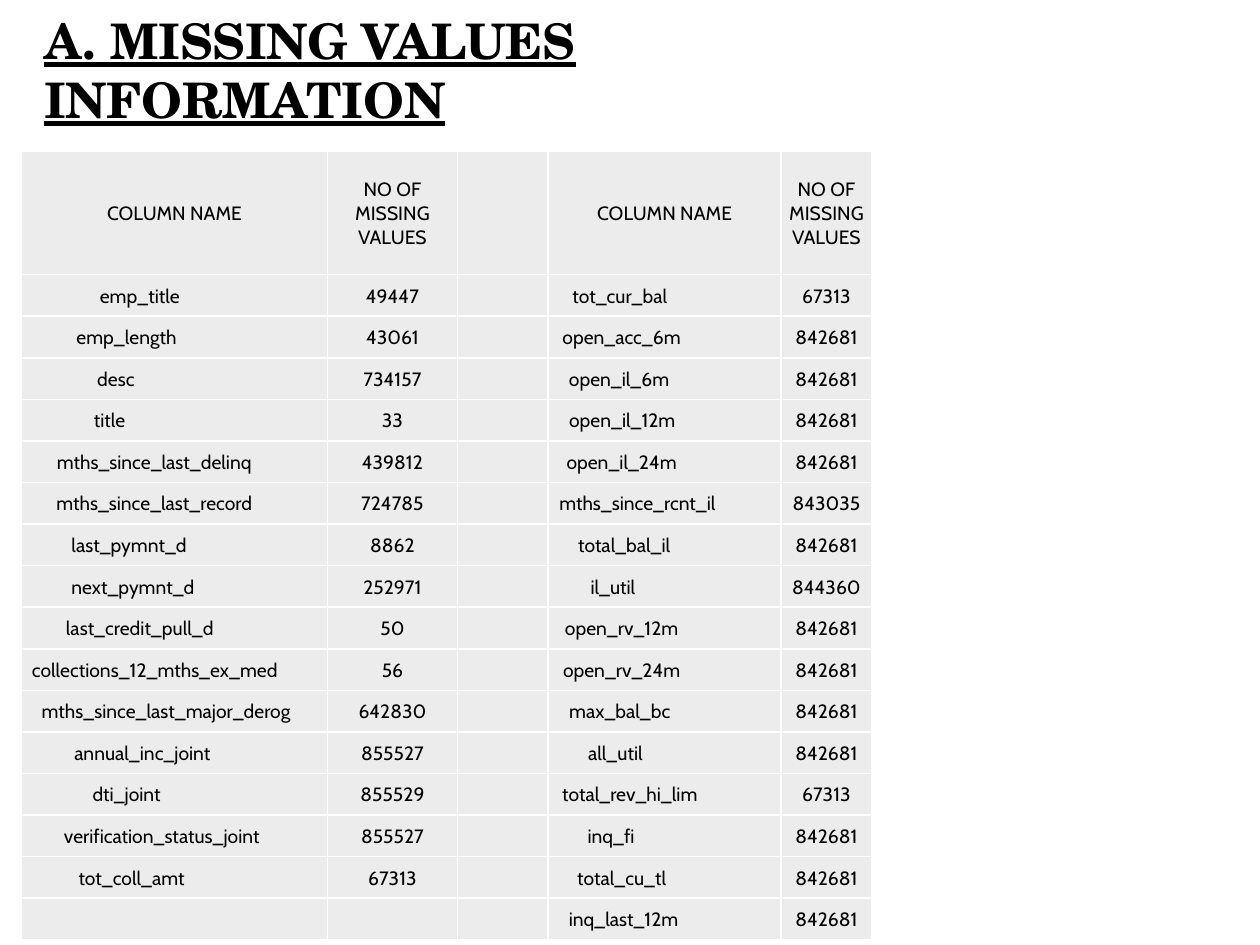
from lxml import etree
from pptx import Presentation
from pptx import util as u
from pptx.dml import color
from pptx.enum import text
from pptx.oxml import ns

LEFT = [
    ("emp_title", 0.56, "49447"), ("emp_length", 0.77, "43061"),
    ("desc", 0.94, "734157"), ("title", 1.04, "33"),
    ("mths_since_last_delinq", 0.33, "439812"),
    ("mths_since_last_record", 0.33, "724785"),
    ("last_pymnt_d", 0.73, "8862"), ("next_pymnt_d", 0.67, "252971"),
    ("last_credit_pull_d", 0.56, "50"),
    ("collections_12_mths_ex_med", 0.32, "56"),
    ("mths_since_last_major_derog", 0.14, "642830"),
    ("annual_inc_joint", 0.52, "855527"), ("dti_joint", 0.77, "855529"),
    ("verification_status_joint", 0.21, "855527"),
    ("tot_coll_amt", 0.69, "67313"),
]
RIGHT = [
    ("tot_cur_bal", 0.72, "67313"), ("open_acc_6m", 0.69, "842681"),
    ("open_il_6m", 0.73, "842681"), ("open_il_12m", 0.68, "842681"),
    ("open_il_24m", 0.69, "842681"), ("mths_since_rcnt_il", 0.44, "843035"),
    ("total_bal_il", 0.65, "842681"), ("il_util", 0.83, "844360"),
    ("open_rv_12m", 0.69, "842681"), ("open_rv_24m", 0.69, "842681"),
    ("max_bal_bc", 0.72, "842681"), ("all_util", 0.79, "842681"),
    ("total_rev_hi_lim", 0.56, "67313"), ("inq_fi", 0.86, "842681"),
    ("total_cu_tl", 0.69, "842681"), ("inq_last_12m", 0.66, "842681"),
]
HEADER = ("COLUMN NAME", 0.01, "NO OF MISSING VALUES")


def rgb(value):
    """Return the colour for a hex string."""
    return color.RGBColor.from_string(value)


class Deck:
    """Hold the style and the current slide."""

    title_font = {"name": "TeX Gyre Schola", "size": u.Pt(28), "bold": True, "underline": True}
    cell_font = {"name": "Cabin", "size": u.Pt(11), "bold": False}
    ink, fill, border = "000000", "ECECEC", "FFFFFF"
    inset = 0.01

    def __init__(self, prs):
        """Add a slide with a title placeholder."""
        self.s = prs.slides.add_slide(prs.slide_layouts[5])

    def run(self, p, words, font, align):
        """Add one formatted run to a paragraph."""
        p.alignment = align
        r = p.add_run()
        r.text = words
        for key, value in font.items():
            setattr(r.font, key, value)
        r.font.color.rgb = rgb(self.ink)

    def title(self, words, left, top, width, height):
        """Place and fill the title."""
        sp = self.s.shapes.title
        box = {"left": left, "top": top, "width": width, "height": height}
        for key, value in box.items():
            setattr(sp, key, u.Inches(value))
        tf = sp.text_frame
        tf.word_wrap = True
        tf.auto_size = text.MSO_AUTO_SIZE.NONE
        tf.vertical_anchor = text.MSO_ANCHOR.MIDDLE
        self.run(tf.paragraphs[0], words, self.title_font, text.PP_ALIGN.LEFT)

    def borders(self, cell):
        """Draw the four cell borders."""
        tc_pr = cell._tc.get_or_add_tcPr()
        for side in ("a:lnL", "a:lnR", "a:lnT", "a:lnB"):
            ln = etree.SubElement(tc_pr, ns.qn(side), w=str(u.Pt(1)))
            solid = etree.SubElement(ln, ns.qn("a:solidFill"))
            etree.SubElement(solid, ns.qn("a:srgbClr"), val=self.border)

    def cell(self, cell, words, gap):
        """Style a cell and centre its words left of a gap."""
        self.borders(cell)
        cell.fill.solid()
        cell.fill.fore_color.rgb = rgb(self.fill)
        cell.vertical_anchor = text.MSO_ANCHOR.MIDDLE
        margins = {"left": self.inset, "right": gap, "top": self.inset, "bottom": 0}
        for side, value in margins.items():
            setattr(cell, f"margin_{side}", u.Inches(value))
        if words:
            self.run(cell.text_frame.paragraphs[0], words, self.cell_font, text.PP_ALIGN.CENTER)

    def table(self, rows, left, top, widths, heights):
        """Add a table of (words, gap) rows."""
        size = (left, top, sum(widths), sum(heights))
        frame = self.s.shapes.add_table(len(rows), len(widths), *map(u.Inches, size))
        tbl = frame.table
        tbl.first_row = tbl.horz_banding = False
        for column, width in zip(tbl.columns, widths):
            column.width = u.Inches(width)
        for row, height, entries in zip(tbl.rows, heights, rows):
            row.height = u.Inches(height)
            for cell, entry in zip(row.cells, entries):
                self.cell(cell, *entry)


def main():
    """Build the slide and save it."""
    prs = Presentation()
    prs.slide_width, prs.slide_height = u.Inches(10), u.Inches(7.5)
    deck = Deck(prs)
    deck.title("A. MISSING VALUES INFORMATION", 0.25, 0.25, 6.33, 0.6)
    blank = ("", deck.inset)
    left = [HEADER, *LEFT, ("", deck.inset, "")]
    rows = [
        [(a, gap_a), (n, deck.inset), blank, (b, gap_b), (m, deck.inset)]
        for (a, gap_a, n), (b, gap_b, m) in zip(left, [HEADER, *RIGHT])
    ]
    heights = [0.98] + [0.33] * len(RIGHT)
    deck.table(rows, 0.17, 1.2, [2.43, 1.03, 0.72, 1.85, 0.72], heights)
    prs.save("out.pptx")


if __name__ == "__main__":
    main()
